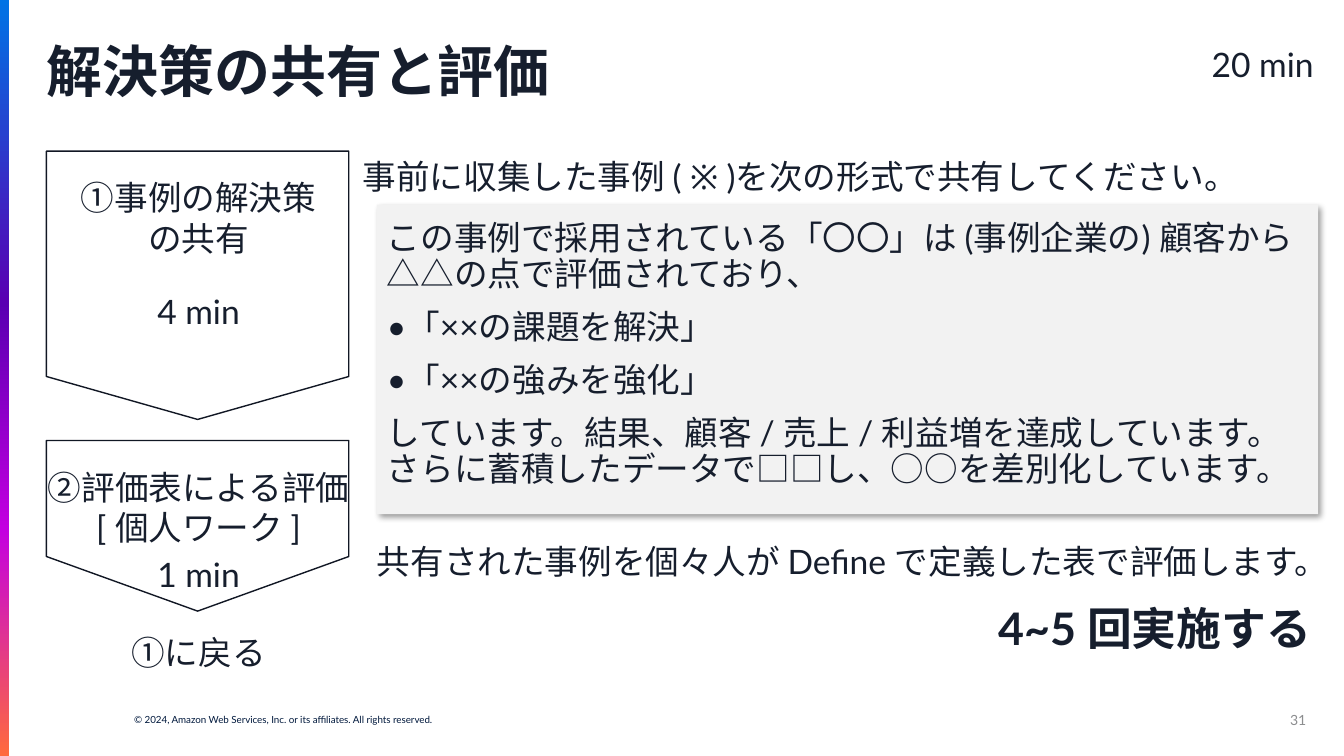
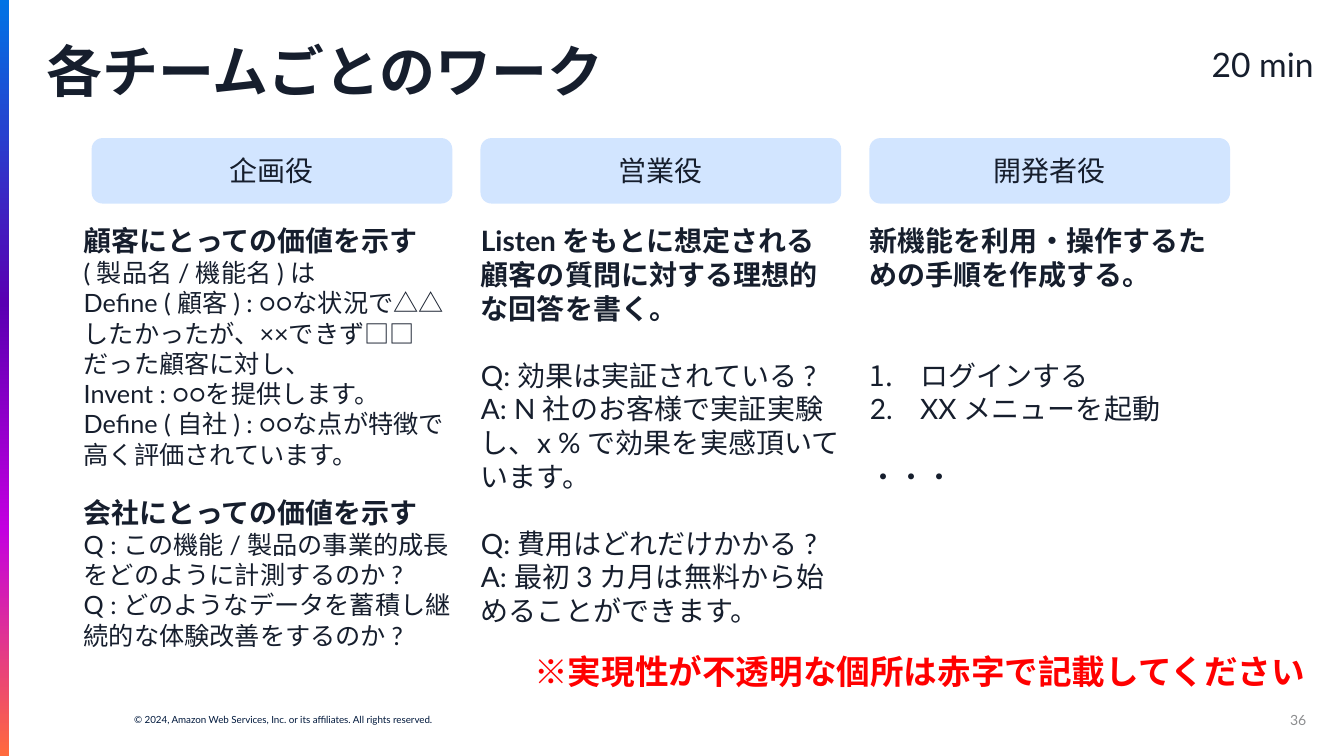
from dataclasses import dataclass

from lxml import etree
from pptx import Presentation
from pptx import util as u
from pptx.dml.color import RGBColor
from pptx.enum import shapes, text
from pptx.oxml import ns

INK = RGBColor(0x16, 0x1E, 0x2D)
OUTLINE = RGBColor(0x11, 0x17, 0x24)
NAVY = RGBColor(0x00, 0x19, 0x3D)
GRAY = RGBColor(0x8C, 0x8D, 0x8F)
PALE_GRAY = RGBColor(0xF2, 0xF2, 0xF2)
PALE_BLUE = RGBColor(0xD2, 0xE5, 0xFF)
WHITE = RGBColor(0xFF, 0xFF, 0xFF)
BLACK = RGBColor(0x00, 0x00, 0x00)
RED = RGBColor(0xFF, 0x00, 0x00)
BAND_STOPS = (
    (0, RGBColor(0x00, 0x73, 0xE5)),
    (40, RGBColor(0x59, 0x00, 0xB2)),
    (70, RGBColor(0xC3, 0x00, 0xE0)),
    (100, RGBColor(0xFF, 0x6A, 0x3D)),
)
FONT = "Lato"
COPYRIGHT = "© 2024, Amazon Web Services, Inc. or its affiliates. All rights reserved."
LEFT, CENTER, RIGHT = text.PP_ALIGN.LEFT, text.PP_ALIGN.CENTER, text.PP_ALIGN.RIGHT
TOP, MIDDLE = text.MSO_ANCHOR.TOP, text.MSO_ANCHOR.MIDDLE
SHAPE = shapes.MSO_SHAPE


@dataclass
class Para:
    words: str
    size: float = 24
    bold: bool = False
    before: float = 0
    after: float = 0
    bullet: str = ""
    number: bool = False


def add_element(parent, tag, **attributes):
    element = etree.SubElement(parent, ns.qn(tag))
    for name, value in attributes.items():
        element.set(name, str(value))
    return element


class Deck:
    def __init__(self):
        self.deck = Presentation()
        self.deck.slide_width = u.Cm(33.87)
        self.deck.slide_height = u.Cm(19.05)
        self.page = None

    def new_page(self, layout, title, number, duration):
        self.page = self.deck.slides.add_slide(self.deck.slide_layouts[layout])
        self.band()
        self.text([Para(COPYRIGHT, 7)], 3.38, 17.98, 13.56, 0.3, color=NAVY, inset=(0, 0))
        self.text([Para(title, 40, True)], 1.17, 0.97, 31.72, 1.8, holder=0, spacing=0.9)
        self.text([Para(number, 10)], 25.3, 17.63, 7.62, 1.02, RIGHT, GRAY,
                  anchor=MIDDLE, inset=(0, 0))
        self.label(duration, 30.07, 0.97, 3.5)

    def fill_text(self, box, paras, align, color, spacing, anchor, inset):
        frame = box.text_frame
        frame.word_wrap = True
        frame.auto_size = text.MSO_AUTO_SIZE.NONE
        frame.vertical_anchor = anchor
        frame.margin_left = frame.margin_right = u.Cm(inset[0])
        frame.margin_top = frame.margin_bottom = u.Cm(inset[1])
        for index, para in enumerate(paras):
            paragraph = frame.add_paragraph() if index else frame.paragraphs[0]
            paragraph.text = para.words
            paragraph.alignment = align
            paragraph.line_spacing = spacing
            paragraph.space_before = u.Pt(para.before)
            paragraph.space_after = u.Pt(para.after)
            self.list_style(paragraph, para)
            font = paragraph.font
            font.name, font.size, font.bold = FONT, u.Pt(para.size), para.bold
            font.color.rgb = color

    def list_style(self, paragraph, para):
        properties = paragraph._p.get_or_add_pPr()
        indent = u.Cm(1.27 if para.number else 0.4 if para.bullet else 0)
        properties.set("marL", str(indent))
        properties.set("indent", str(-indent))
        if para.number:
            add_element(properties, "a:buFont", typeface=FONT)
            add_element(properties, "a:buAutoNum", type="arabicPeriod")
        elif para.bullet:
            add_element(properties, "a:buFont", typeface=FONT)
            add_element(properties, "a:buChar", char=para.bullet)
        else:
            add_element(properties, "a:buNone")

    def text(self, paras, left, top, width, height, align=LEFT, color=INK,
             holder=None, spacing=1.0, anchor=TOP, inset=(0, 0.13)):
        place = [u.Cm(length) for length in (left, top, width, height)]
        if holder is None:
            box = self.page.shapes.add_textbox(*place)
        else:
            box = self.page.placeholders[holder]
            box.left, box.top, box.width, box.height = place
        self.fill_text(box, paras, align, color, spacing, anchor, inset)

    def label(self, words, left, top, width, align=CENTER):
        lines = [Para(line) for line in words.split("\n")]
        self.text(lines, left, top, width, 0.25 + 1.02 * len(lines), align)

    def shape(self, kind, left, top, width, height, fill, line=None):
        place = [u.Cm(length) for length in (left, top, width, height)]
        shape = self.page.shapes.add_shape(kind, *place)
        shape.shadow.inherit = False
        shape.fill.solid()
        shape.fill.fore_color.rgb = fill
        if line is None:
            shape.line.fill.background()
        else:
            shape.line.color.rgb = line
            shape.line.width = u.Pt(1)
        return shape

    def band(self):
        band = self.shape(SHAPE.RECTANGLE, 0, 0, 0.23, 19.05, WHITE)
        band.fill.gradient()
        band.fill.gradient_angle = 270
        stops = band._element.spPr.find(".//" + ns.qn("a:gsLst"))
        for stop in list(stops):
            stops.remove(stop)
        for percent, color in BAND_STOPS:
            stop = add_element(stops, "a:gs", pos=percent * 1000)
            add_element(stop, "a:srgbClr", val=color)

    def panel(self, left, top, width, height):
        panel = self.shape(SHAPE.RECTANGLE, left, top, width, height, PALE_GRAY)
        effects = panel._element.spPr.find(ns.qn("a:effectLst"))
        shadow = add_element(effects, "a:outerShdw", blurRad=u.Pt(4), dist=u.Pt(3),
                             dir=45 * 60000, algn="tl", rotWithShape=0)
        color = add_element(shadow, "a:srgbClr", val=BLACK)
        add_element(color, "a:alpha", val=40000)
        self.page.shapes[0]._element.addprevious(panel._element)

    def down_arrow(self, left, top, width, height, point):
        shift = (width - height) / 2
        arrow = self.shape(SHAPE.PENTAGON, left + shift, top - shift, height, width,
                           WHITE, OUTLINE)
        arrow.rotation = 90
        arrow.adjustments[0] = point

    def role(self, words, left, top, width, height):
        box = self.shape(SHAPE.ROUNDED_RECTANGLE, left, top, width, height, PALE_BLUE)
        self.fill_text(box, [Para(words, 20)], CENTER, INK, 1.0, MIDDLE, (0.25, 0.13))

    def save(self):
        self.deck.save("out.pptx")


def sharing_page(deck):
    deck.new_page(1, "解決策の共有と評価", "31", "20 min")
    deck.panel(9.5, 5.16, 23.72, 7.8)
    deck.down_arrow(1.17, 3.81, 7.62, 6.76, 0.16)
    deck.down_arrow(1.17, 11.1, 7.62, 4.3, 0.32)
    for words, top in (("①事例の解決策\nの共有", 4.34),
                       ("②評価表による評価\n[ 個人ワーク ]", 11.63),
                       ("①に戻る", 15.8), ("4 min", 7.21), ("1 min", 13.84)):
        deck.label(words, 0.84, top, 8.33)
    deck.label("事前に収集した事例 ( ※ )を次の形式で共有してください。", 9.14, 3.81, 24.36, LEFT)
    deck.text([
        Para("この事例で採用されている「〇〇」は (事例企業の) 顧客から△△の点で評価されており、", after=12),
        Para("「××の課題を解決」", after=12, bullet="•"),
        Para("「××の強みを強化」", after=12, bullet="•"),
        Para("しています。結果、顧客 / 売上 / 利益増を達成しています。"
             "さらに蓄積したデータで□□し、○○を差別化しています。", after=12),
    ], 9.5, 5.44, 23.55, 7.54, holder=1, spacing=0.9, inset=(0.25, 0.13))
    deck.label("共有された事例を個々人が Define で定義した表で評価します。", 9.5, 13.51, 23.72, LEFT)
    deck.text([Para("4~5 回実施する", 32, True)], 9.5, 15.01, 23.55, 1.63, RIGHT)


def team_page(deck):
    deck.new_page(4, "各チームごとのワーク", "36", "20 min")
    planning = [
        Para("顧客にとっての価値を示す", 20, True),
        Para("( 製品名 / 機能名 ) は", 18),
        Para("Define ( 顧客 ) : ○○な状況で△△したかったが、××できず□□だった顧客に対し、", 18),
        Para("Invent : ○○を提供します。", 18),
        Para("Define ( 自社 ) : ○○な点が特徴で高く評価されています。", 18),
        Para("会社にとっての価値を示す", 20, True, before=19),
        Para("Q : この機能 / 製品の事業的成長をどのように計測するのか ?", 18),
        Para("Q : どのようなデータを蓄積し継続的な体験改善をするのか ?", 18),
    ]
    sales = [
        Para("Listen をもとに想定される顧客の質問に対する理想的な回答を書く。", 20, True),
        Para("Q: 効果は実証されている ?", 20, before=24),
        Para("A: N 社のお客様で実証実験し、x % で効果を実感頂いています。", 20),
        Para("Q: 費用はどれだけかかる ?", 20, before=24),
        Para("A: 最初 3 カ月は無料から始めることができます。", 20),
    ]
    development = [
        Para("新機能を利用・操作するための手順を作成する。", 20, True),
        Para("ログインする", 20, before=48, number=True),
        Para("XX メニューを起動", 20, number=True),
        Para("・・・", 20, before=24),
    ]
    columns = (("企画役", planning, 2.11, 9.55), ("営業役", sales, 12.12, 9.09),
               ("開発者役", development, 21.92, 9.09))
    for index, (role, paras, left, width) in enumerate(columns):
        deck.role(role, 2.31 + 9.8 * index, 3.48, 9.09, 1.65)
        deck.text(paras, left, 5.51, width, 11.1, holder=index + 1)
    deck.text([Para("※実現性が不透明な個所は赤字で記載してください", 24, True)],
              9.6, 16.28, 23.29, 1.27, RIGHT, RED, holder=4)


def main():
    deck = Deck()
    sharing_page(deck)
    team_page(deck)
    deck.save()


if __name__ == "__main__":
    main()
